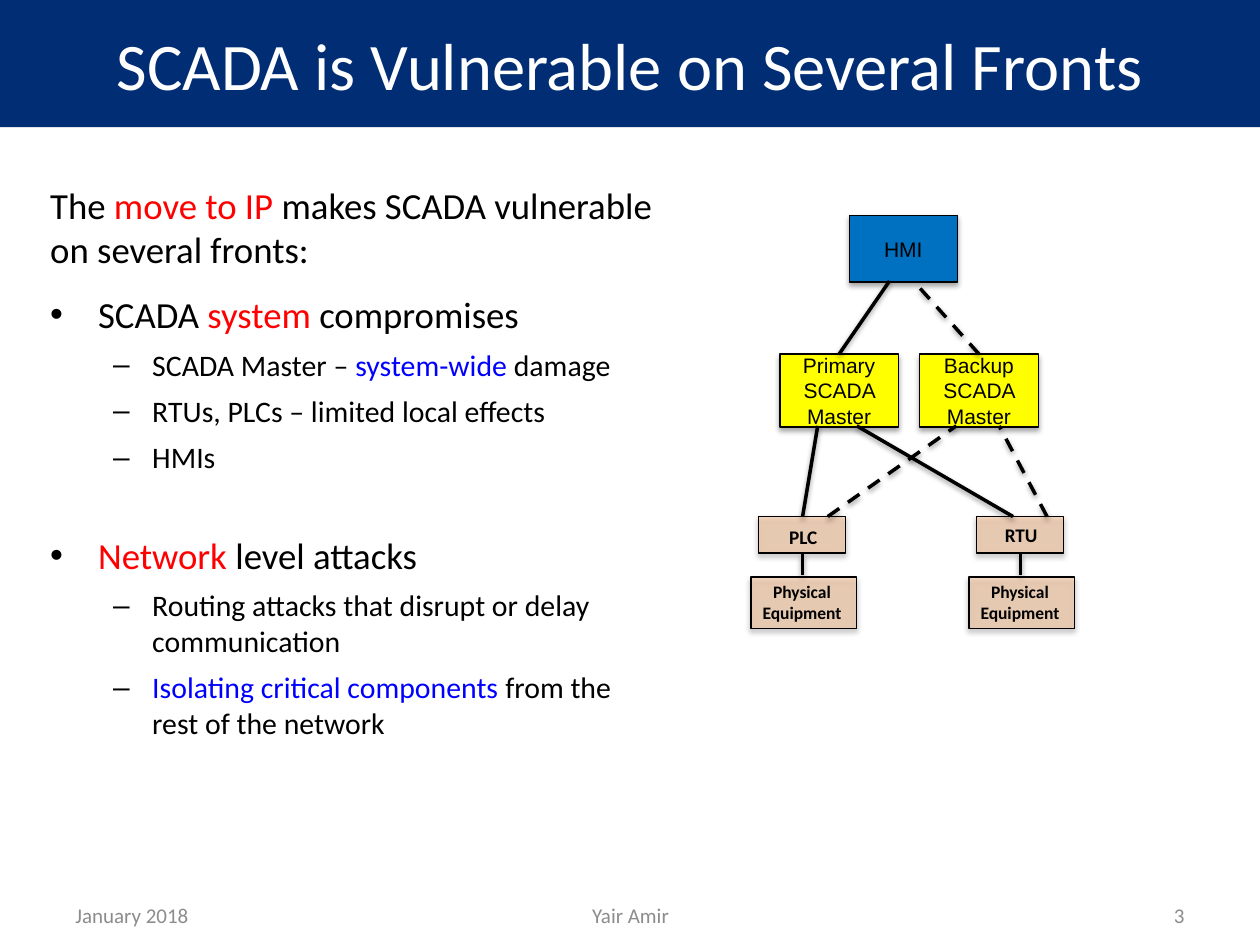
from lxml.etree import SubElement
from pptx import Presentation
from pptx.dml.color import RGBColor
from pptx.enum.dml import MSO_LINE
from pptx.enum.shapes import MSO_CONNECTOR, MSO_SHAPE
from pptx.enum.text import MSO_ANCHOR, PP_ALIGN
from pptx.oxml.ns import qn
from pptx.util import Inches, Pt

BLACK, WHITE, RED, BLUE = "000000", "FFFFFF", "FF0000", "0000FF"
NAVY, GREY, TAN, SKY, YELLOW = "002D73", "8C8C8C", "FAC090", "0070C0", "FFFF00"


def color(hex_code):
    return RGBColor.from_string(hex_code)


def cells(*counts):
    """Turn counts of grid cells, a tenth of an inch each, into lengths."""
    return [Inches(count / 10) for count in counts]


class Deck:
    """Holds the style and the current slide, which is a grid of 100 columns by 75 rows."""

    body_font, diagram_font = "Calibri", "Arial"

    def __init__(self):
        self.deck = Presentation()
        self.deck.slide_width, self.deck.slide_height = cells(100, 75)
        self.slide = self.deck.slides.add_slide(self.deck.slide_layouts[5])

    def style(self, paragraph, size, ink=BLACK, font=body_font, bold=False,
              align=PP_ALIGN.CENTER):
        paragraph.alignment = align
        paragraph.font.size, paragraph.font.name = Pt(size), font
        paragraph.font.bold = bold
        paragraph.font.color.rgb = color(ink)

    def shade(self, item, opacity, distance):
        """Give a shape or connector a soft shadow straight below it."""
        properties = item._element.spPr
        for old in properties.findall(qn("a:effectLst")):
            properties.remove(old)
        effects = SubElement(properties, qn("a:effectLst"))
        shadow = SubElement(effects, qn("a:outerShdw"), blurRad=str(Pt(3.1)),
                            dist=str(Pt(distance)), dir="5400000", rotWithShape="0")
        tone = SubElement(shadow, qn("a:srgbClr"), val=BLACK)
        SubElement(tone, qn("a:alpha"), val=str(opacity * 1000))

    def title(self, text, rows):
        banner = self.slide.shapes.title
        banner.left, banner.top, banner.width, banner.height = cells(0, 0, 100, rows)
        banner.fill.solid()
        banner.fill.fore_color.rgb = color(NAVY)
        banner.text_frame.text = text
        banner.text_frame.vertical_anchor = MSO_ANCHOR.MIDDLE
        self.style(banner.text_frame.paragraphs[0], 38, WHITE)

    def text(self, place, words, size, anchor=MSO_ANCHOR.TOP, **style):
        frame = self.slide.shapes.add_textbox(*cells(*place)).text_frame
        frame.word_wrap, frame.vertical_anchor = True, anchor
        frame.text = words
        for paragraph in frame.paragraphs:
            self.style(paragraph, size, **style)

    def outline(self, place, entries):
        """Write (level, space before, runs) entries; level None has no bullet."""
        frame = self.slide.shapes.add_textbox(*cells(*place)).text_frame
        frame.word_wrap = True
        looks = {None: (21, 0, 0, ""), 0: (21, 0.38, -0.38, "•"), 1: (17, 0.81, -0.31, "–")}
        for number, (level, before, runs) in enumerate(entries):
            paragraph = frame.add_paragraph() if number else frame.paragraphs[0]
            size, margin, indent, mark = looks[level]
            paragraph.level = level or 0
            self.style(paragraph, size, align=PP_ALIGN.LEFT)
            paragraph.space_before = Pt(before)
            paragraph.space_after = Pt(6 if level is None else 0)
            for words, ink in runs:
                run = paragraph.add_run()
                run.text = words
                run.font.color.rgb = color(ink)
            if mark:
                properties = paragraph._p.get_or_add_pPr()
                properties.set("marL", str(Inches(margin)))
                properties.set("indent", str(Inches(indent)))
                tint = SubElement(properties, qn("a:buClr"))
                SubElement(tint, qn("a:srgbClr"), val=BLACK)
                SubElement(properties, qn("a:buFont"), typeface="Arial")
                SubElement(properties, qn("a:buChar"), char=mark)
                defaults = properties.find(qn("a:defRPr"))
                if defaults is not None:
                    properties.append(defaults)

    def box(self, place, fill, words="", opacity=100):
        node = self.slide.shapes.add_shape(MSO_SHAPE.RECTANGLE, *cells(*place))
        node.fill.solid()
        node.fill.fore_color.rgb = color(fill)
        if opacity < 100:
            tone = node._element.spPr.find(qn("a:solidFill"))[0]
            SubElement(tone, qn("a:alpha"), val=str(opacity * 1000))
        node.line.color.rgb, node.line.width = color(BLACK), Pt(0.75)
        self.shade(node, 35, 1.8)
        if words:
            frame = node.text_frame
            frame.word_wrap, frame.vertical_anchor = True, MSO_ANCHOR.MIDDLE
            frame.text = words
            for paragraph in frame.paragraphs:
                self.style(paragraph, 12, font=self.diagram_font)

    def link(self, start, end, dashed=False):
        wire = self.slide.shapes.add_connector(
            MSO_CONNECTOR.STRAIGHT, *cells(*start, *end))
        wire.line.color.rgb, wire.line.width = color(BLACK), Pt(2)
        if dashed:
            wire.line.dash_style = MSO_LINE.DASH
        self.shade(wire, 38, 1.6)

    def field_device(self, name, center, label_row):
        """Draw a controller wired to the physical equipment below it."""
        self.box((center - 3.5, 41, 6.9, 2.9), TAN, opacity=50)
        self.text((center - 3.65, label_row, 7.4, 2.9), name, 11, bold=True)
        self.box((center - 4.1, 45.8, 8.4, 4.1), TAN, opacity=50)
        self.text((center - 4.4, 45.6, 8.7, 4.4), "Physical\nEquipment", 10, bold=True)
        self.link((center, 45.6), (center, 44))


def main():
    deck = Deck()
    deck.title("SCADA is Vulnerable on Several Fronts", 10.1)
    deck.outline((3, 14, 50.2, 45), [
        (None, 12, [("The", BLACK), (" move to IP ", RED),
                    ("makes SCADA vulnerable on several fronts:", BLACK)]),
        (0, 6, [("SCADA ", BLACK), ("system", RED), (" compromises", BLACK)]),
        (1, 6, [("SCADA Master – ", BLACK), ("system-wide", BLUE), (" damage", BLACK)]),
        (1, 6, [("RTUs, PLCs – limited local effects", BLACK)]),
        (1, 6, [("HMIs", BLACK)]),
        (0, 33, [("Network ", RED), ("level attacks", BLACK)]),
        (1, 6, [("Routing attacks that disrupt or delay communication", BLACK)]),
        (1, 6, [("Isolating critical components ", BLUE),
                ("from the rest of the network", BLACK)]),
    ])

    for left, width, words, align in [(5, 23.3, "January 2018", PP_ALIGN.LEFT),
                                      (34.2, 31.7, "Yair Amir", PP_ALIGN.CENTER),
                                      (71.7, 23.3, "3", PP_ALIGN.RIGHT)]:
        deck.text((left, 70.6, width, 4), words, 12, MSO_ANCHOR.MIDDLE,
                  ink=GREY, align=align)

    deck.field_device("PLC", 63.7, 41.2)
    deck.field_device("RTU", 81, 41)
    deck.box((67.4, 17.1, 8.6, 5.3), SKY, "HMI")
    for left, role in [(61.9, "Primary"), (73, "Backup")]:
        deck.box((left, 28.1, 9.4, 5.8), YELLOW, f"{role}\nSCADA Master")

    hmi_row, master_top, master_bottom, device_row = 22.3, 28.1, 33.8, 41
    deck.link((66.6, master_top), (70.6, hmi_row))
    deck.link((77.7, master_top), (72.5, hmi_row), dashed=True)
    for device, master, dashed in [(65.7, 75.9, True), (83.1, 79.3, True),
                                   (63.7, 64.9, False), (80.4, 68, False)]:
        deck.link((device, device_row), (master, master_bottom), dashed)

    deck.deck.save("out.pptx")


if __name__ == "__main__":
    main()
